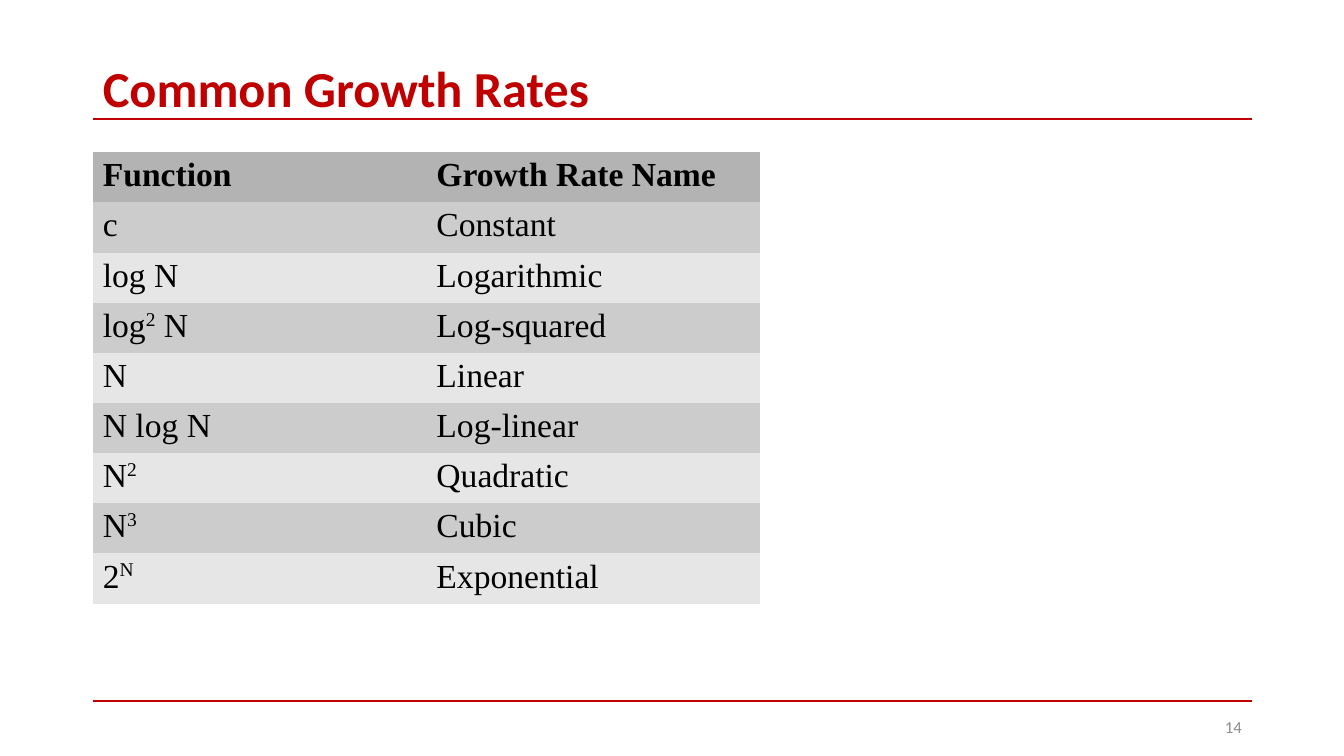
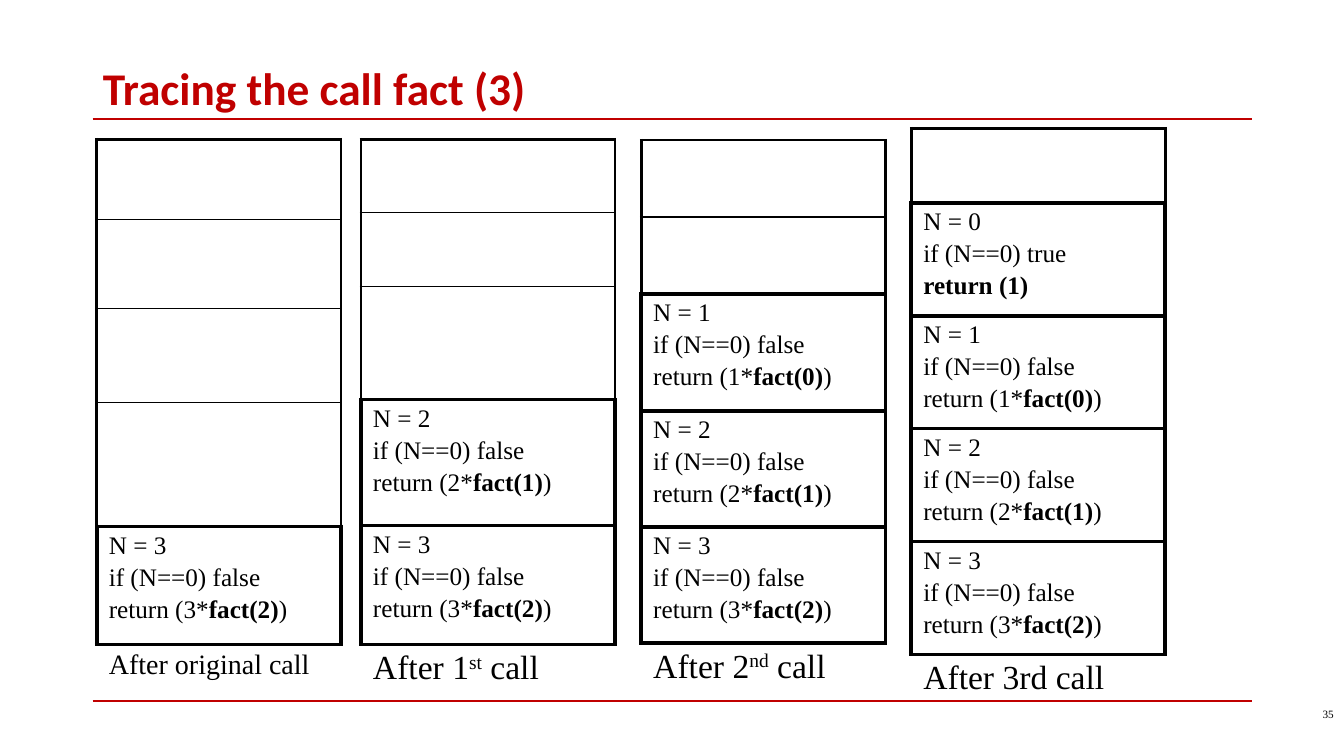
from dataclasses import dataclass
from typing import NamedTuple

from lxml.etree import SubElement
from pptx import Presentation
from pptx.dml.color import RGBColor as Rgb
from pptx.enum.shapes import MSO_CONNECTOR as Link
from pptx.enum.text import MSO_ANCHOR as Anchor, MSO_AUTO_SIZE as Fit, PP_ALIGN as Align
from pptx.oxml.ns import qn
from pptx.slide import Slide
from pptx.table import Table, _Cell as Cell
from pptx.text.text import Font, _Paragraph as Para
from pptx.util import Pt


@dataclass(frozen=True)
class Theme:
    red: Rgb = Rgb(0xC0, 0x00, 0x00)
    black: Rgb = Rgb(0x00, 0x00, 0x00)
    gray: Rgb = Rgb(0x8C, 0x8C, 0x8C)
    head: Rgb = Rgb(0xB3, 0xB3, 0xB3)
    bands: tuple[Rgb, Rgb] = (Rgb(0xCC, 0xCC, 0xCC), Rgb(0xE6, 0xE6, 0xE6))
    sans: str = "Calibri"
    serif: str = "Times New Roman"
    grid: float = 24
    code: float = 18
    outer: float = 2.25
    inner: float = 1
    thick: float = 3


class Box(NamedTuple):
    x: float
    y: float
    w: float
    h: float


class Span(NamedTuple):
    text: str
    bold: bool = False
    base: int = 0


class Edges(NamedTuple):
    """Border widths; zero means no line."""
    left: float = 0
    right: float = 0
    top: float = 0
    bottom: float = 0


class Page(NamedTuple):
    """Slide number with its place and look."""
    text: str
    box: Box
    size: float
    face: str
    color: Rgb


Line = tuple[Span, ...]


class Stack(NamedTuple):
    """Call stack: row heights from the top, the last one for the caption."""
    x: float
    y: float
    w: float
    rows: tuple[float, ...]
    calls: int
    label: Line
    size: float


THEME = Theme()
TITLE = Box(66.24, 43.9, 828, 41.8)
RULES = (85, 500.4)
GRID = Box(66.24, 108.7, 476.64, 322.6)
START = 3

RATES: tuple[tuple[Line, str], ...] = (
    ((Span("c"),), "Constant"),
    ((Span("log N"),), "Logarithmic"),
    ((Span("log"), Span("2", base=33), Span(" N")), "Log-squared"),
    ((Span("N"),), "Linear"),
    ((Span("N log N"),), "Log-linear"),
    ((Span("N"), Span("2", base=33)), "Quadratic"),
    ((Span("N"), Span("3", base=33)), "Cubic"),
    ((Span("2"), Span("N", base=33)), "Exponential"),
)

STACKS = (
    Stack(69.1, 99.4, 174.5, (57.2, 64, 67, 88.6, 84.2, 68.4), 1,
          (Span("After original call"),), 20),
    Stack(257.8, 99.4, 181.5, (52.6, 52.6, 80.9, 90, 85, 52.6), 2,
          (Span("After 1"), Span("st", base=30), Span(" call")), 24),
    Stack(458, 100.1, 174.5, (54.9, 54.9, 83.5, 83, 83, 54.9), 3,
          (Span("After 2"), Span("nd", base=30), Span(" call")), 24),
    Stack(650.9, 91.6, 181.5, (53.3, 80.65, 80.65, 80.65, 80.65, 53.3), 4,
          (Span("After 3rd call"),), 24),
)


def style(font: Font, face: str, size: float, color: Rgb) -> None:
    font.name, font.size = face, Pt(size)
    font.color.rgb = color


def write(para: Para, line: Line, size: float) -> None:
    style(para.font, THEME.serif, size, THEME.black)
    for span in line:
        run = para.add_run()
        run.text = span.text
        if span.bold:
            run.font.bold = True
        if span.base:
            run.font._element.set("baseline", str(span.base * 1000))


def border(cell: Cell, edges: Edges) -> None:
    """Set the four borders; call before the fill is set."""
    props = cell._tc.get_or_add_tcPr()
    for side, width in zip("LRTB", edges):
        line = SubElement(props, qn(f"a:ln{side}"), w=str(Pt(width)))
        if width:
            fill = SubElement(line, qn("a:solidFill"))
            SubElement(fill, qn("a:srgbClr"), val=str(THEME.black))
        else:
            SubElement(line, qn("a:noFill"))


def inset(cell: Cell, side: float, top: float) -> None:
    cell.margin_left = cell.margin_right = Pt(side)
    cell.margin_top, cell.margin_bottom = Pt(top), Pt(3.6)


def add_grid(slide: Slide, box: Box, rows: int, cols: int) -> Table:
    table = slide.shapes.add_table(rows, cols, *map(Pt, box)).table
    table.first_row = table.horz_banding = False
    return table


def add_page(deck: Presentation, title: str, size: float, page: Page) -> Slide:
    """Add a slide with its title, red rules and number."""
    slide = deck.slides.add_slide(deck.slide_layouts[5])
    for y in RULES:
        rule = slide.shapes.add_connector(
            Link.STRAIGHT, Pt(TITLE.x), Pt(y), Pt(TITLE.x + TITLE.w), Pt(y))
        rule.line.color.rgb, rule.line.width = THEME.red, Pt(1.5)
        SubElement(rule._element.spPr, qn("a:effectLst"))

    head = slide.shapes.title
    head.left, head.top, head.width, head.height = map(Pt, TITLE)
    frame = head.text_frame
    frame.text = title
    frame.auto_size, frame.vertical_anchor = Fit.NONE, Anchor.MIDDLE
    para = frame.paragraphs[0]
    para.alignment, para.line_spacing = Align.LEFT, 0.9
    style(para.font, THEME.sans, size, THEME.red)
    para.font.bold = True

    frame = slide.shapes.add_textbox(*map(Pt, page.box)).text_frame
    frame.text = page.text
    frame.word_wrap, frame.vertical_anchor = True, Anchor.MIDDLE
    para = frame.paragraphs[0]
    para.alignment = Align.RIGHT
    style(para.font, page.face, page.size, page.color)
    return slide


def add_rates(slide: Slide) -> None:
    head = (Span("Function", True),), (Span("Growth Rate Name", True),)
    rows = [head] + [(rate, (Span(name),)) for rate, name in RATES]
    table = add_grid(slide, GRID, len(rows), len(head))
    for i, row in enumerate(rows):
        for j, line in enumerate(row):
            cell = table.cell(i, j)
            inset(cell, 7.2, 5)
            border(cell, Edges())
            cell.fill.solid()
            cell.fill.fore_color.rgb = THEME.bands[(i - 1) % 2] if i else THEME.head
            para = cell.text_frame.paragraphs[0]
            para.line_spacing = 0.93
            write(para, line, THEME.grid)


def trace(n: int) -> list[Line]:
    """Lines shown in the stack frame of fact(n)."""
    if n:
        test = "false"
        back = Span(f"return ({n}*"), Span(f"fact({n - 1})", True), Span(")")
    else:
        test = "true"
        back = (Span("return (1)", True),)
    return [(Span(f"N = {n}"),), (Span(f"if (N==0) {test}"),), back]


def add_stack(slide: Slide, stack: Stack) -> None:
    last = len(stack.rows) - 1
    free = last - stack.calls
    box = Box(stack.x, stack.y, stack.w, sum(stack.rows))
    table = add_grid(slide, box, len(stack.rows), 1)

    def seam(i: int) -> float:
        """Width of the line above row i."""
        if i == 0:
            return THEME.outer
        return THEME.inner if i < free else THEME.thick

    for i, high in enumerate(stack.rows):
        table.rows[i].height = Pt(high)
        cell = table.cell(i, 0)
        if i == last:
            edges, lines, size = Edges(top=seam(i)), [stack.label], stack.size
        else:
            side = THEME.outer if i < free else THEME.thick
            edges = Edges(side, side, seam(i), seam(i + 1))
            lines = trace(START - stack.calls + 1 + i - free) if i >= free else []
            lines, size = lines[::1], THEME.code
            if i >= free:
                lines = trace(START - stack.calls + 1 + i - free)
        border(cell, edges)
        cell.fill.background()
        inset(cell, 8.64, 3.6)
        frame = cell.text_frame
        for k, line in enumerate(lines):
            para = frame.add_paragraph() if k else frame.paragraphs[0]
            para.space_before = Pt(3)
            write(para, line, size)


def main() -> None:
    deck = Presentation()
    deck.slide_width, deck.slide_height = Pt(960), Pt(540)

    page = Page("14", Box(678.24, 504.7, 216, 28.8), 12, THEME.sans, THEME.gray)
    add_rates(add_page(deck, "Common Growth Rates", 36, page))

    page = Page("35", Box(810, 491.8, 149.8, 36), 8, THEME.serif, THEME.black)
    slide = add_page(deck, "Tracing the call fact (3)", 32.4, page)
    for stack in STACKS:
        add_stack(slide, stack)

    deck.save("out.pptx")


if __name__ == "__main__":
    main()
